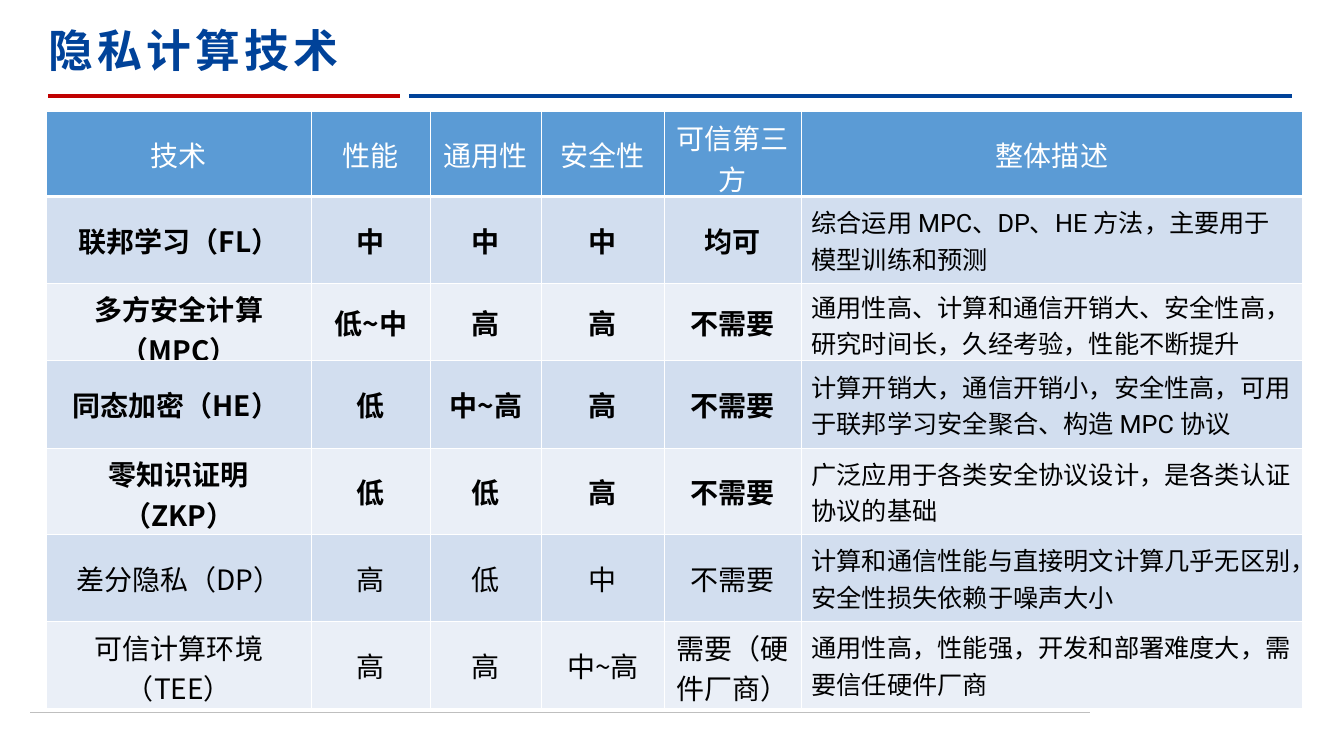
from lxml import etree
from pptx import Presentation
from pptx import util as u
from pptx.dml.color import RGBColor
from pptx.enum import shapes, text
from pptx.oxml.ns import qn

NAVY = RGBColor(0x00, 0x42, 0x99)
RED = RGBColor(0xC0, 0x00, 0x00)
GREY = RGBColor(0xBF, 0xBF, 0xBF)
BLUE = RGBColor(0x5B, 0x9B, 0xD5)
BAND_DARK = RGBColor(0xD2, 0xDE, 0xEF)
BAND_LIGHT = RGBColor(0xEA, 0xEF, 0xF7)
WHITE = RGBColor(0xFF, 0xFF, 0xFF)
BLACK = RGBColor(0x00, 0x00, 0x00)

COLUMN_WIDTHS = [2.63, 1.18, 1.1, 1.22, 1.36, 4.97]
ROW_HEIGHTS = [0.84, 0.86, 0.69, 0.87, 0.86, 0.86, 0.86]
BOLD_ROWS = range(1, 5)
TECHNIQUES = [
    ("技术", "性能", "通用性", "安全性", "可信第三方", "整体描述"),
    ("联邦学习（FL）", "中", "中", "中", "均可",
     "综合运用 MPC、DP、HE 方法，主要用于模型训练和预测"),
    ("多方安全计算（MPC）", "低~中", "高", "高", "不需要",
     "通用性高、计算和通信开销大、安全性高，研究时间长，久经考验，性能不断提升"),
    ("同态加密（HE） ", "低", "中~高", "高", "不需要",
     "计算开销大，通信开销小，安全性高，可用于联邦学习安全聚合、构造 MPC 协议"),
    ("零知识证明（ZKP）", "低", "低", "高", "不需要",
     "广泛应用于各类安全协议设计，是各类认证协议的基础"),
    ("差分隐私（DP）", "高", "低", "中", "不需要",
     "计算和通信性能与直接明文计算几乎无区别，安全性损失依赖于噪声大小"),
    ("可信计算环境（TEE）", "高", "高", "中~高", "需要（硬件厂商）",
     "通用性高，性能强，开发和部署难度大，需要信任硬件厂商"),
]


class SlideBuilder:
    cjk_font = "Noto Sans CJK SC"
    latin_font = "Roboto"

    def __init__(self, page):
        self.page = page

    def line(self, left, right, top, color, width):
        rule = self.page.shapes.add_connector(
            shapes.MSO_CONNECTOR.STRAIGHT,
            u.Inches(left), u.Inches(top), u.Inches(right), u.Inches(top))
        rule.line.color.rgb = color
        rule.line.width = u.Pt(width)
        etree.SubElement(rule._element.spPr, qn("a:effectLst"))

    def span(self, para, words, size, font, color, bold=False):
        span = para.add_run()
        span.text = words
        span.font.size = u.Pt(size)
        span.font.name = font
        span.font.bold = bold
        span.font.color.rgb = color
        east_asian = etree.Element(qn("a:ea"), typeface=self.cjk_font)
        span.font._element.find(qn("a:latin")).addnext(east_asian)
        return span

    def title(self, words, left, top, width, height):
        box = self.page.shapes.add_textbox(
            u.Inches(left), u.Inches(top), u.Inches(width), u.Inches(height))
        frame = box.text_frame
        frame.word_wrap = True
        frame.auto_size = text.MSO_AUTO_SIZE.SHAPE_TO_FIT_TEXT
        span = self.span(frame.paragraphs[0], words, 32, self.latin_font, NAVY, True)
        span.font._element.set("spc", "300")

    def borders(self, cell, top, bottom):
        """Draw white borders; top and bottom are widths in points."""
        properties = cell._tc.get_or_add_tcPr()
        for side, width in (("L", 1), ("R", 1), ("T", top), ("B", bottom)):
            edge = etree.SubElement(properties, qn("a:ln" + side), w=str(u.Pt(width)))
            fill = etree.SubElement(edge, qn("a:solidFill"))
            etree.SubElement(fill, qn("a:srgbClr"), val=str(WHITE))

    def cell(self, cell, words, row, is_description):
        header = row == 0
        self.borders(cell, 3 if row == 1 else 1, 3 if header else 1)
        cell.fill.solid()
        cell.fill.fore_color.rgb = (
            BLUE if header else BAND_DARK if row % 2 else BAND_LIGHT)
        cell.vertical_anchor = text.MSO_ANCHOR.MIDDLE
        para = cell.text_frame.paragraphs[0]
        if is_description and not header:
            para.alignment = text.PP_ALIGN.LEFT
            self.span(para, words, 18, self.latin_font, BLACK)
        else:
            para.alignment = text.PP_ALIGN.CENTER
            self.span(para, words, 20, self.cjk_font,
                      WHITE if header else BLACK, row in BOLD_ROWS)

    def table(self, rows, left, top, widths, heights):
        table = self.page.shapes.add_table(
            len(rows), len(widths), u.Inches(left), u.Inches(top),
            u.Inches(sum(widths)), u.Inches(sum(heights))).table
        for column, width in zip(table.columns, widths):
            column.width = u.Inches(width)
        for row, height in zip(table.rows, heights):
            row.height = u.Inches(height)
        for r, values in enumerate(rows):
            for c, words in enumerate(values):
                self.cell(table.cell(r, c), words, r, c == len(widths) - 1)


def main():
    deck = Presentation()
    deck.slide_width = u.Inches(13.33)
    deck.slide_height = u.Inches(7.5)
    builder = SlideBuilder(deck.slides.add_slide(deck.slide_layouts[6]))
    builder.line(0.3, 10.81, 7.07, GREY, 0.5)
    builder.line(4.06, 12.81, 0.95, NAVY, 3)
    builder.line(0.48, 3.97, 0.95, RED, 3)
    builder.title("隐私计算技术", 0.38, 0.18, 7.78, 0.64)
    builder.table(TECHNIQUES, 0.46, 1.11, COLUMN_WIDTHS, ROW_HEIGHTS)
    deck.save("out.pptx")


if __name__ == "__main__":
    main()
